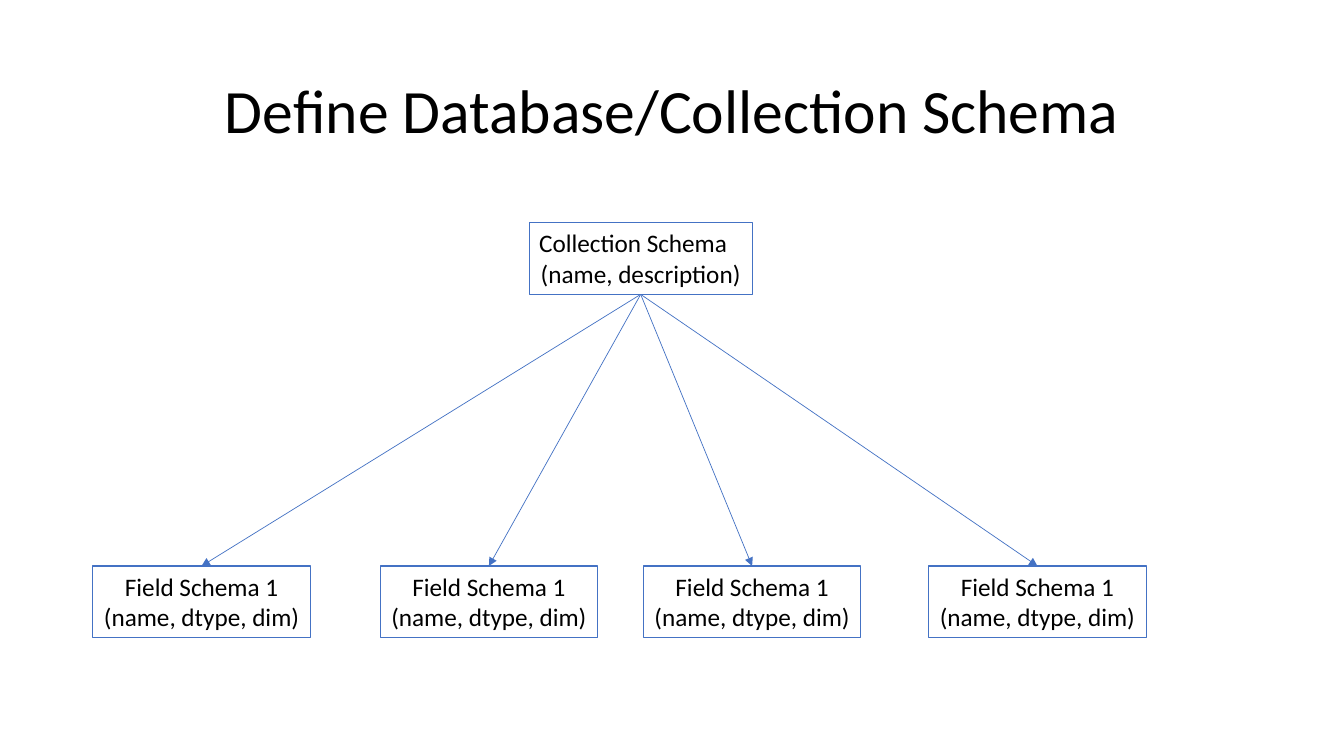
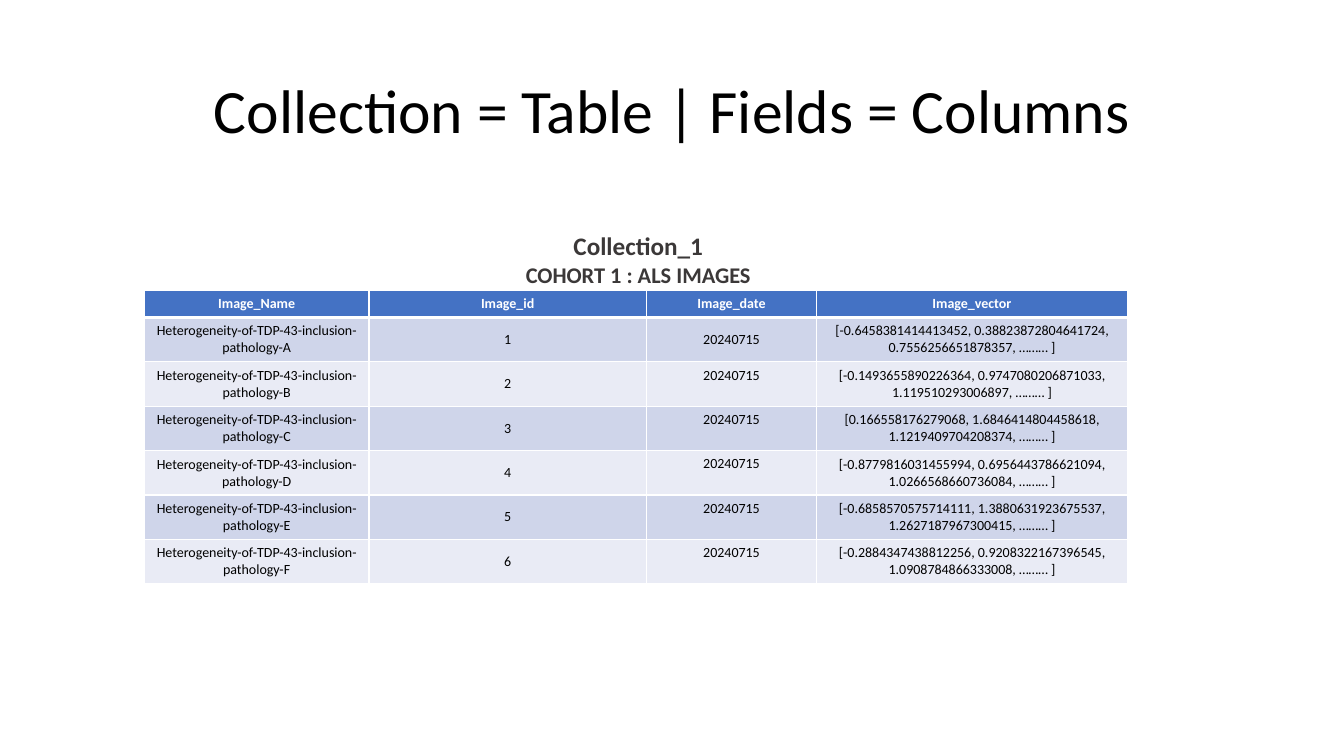
from lxml import etree
from pptx import Presentation
from pptx.dml.color import RGBColor
from pptx.enum.shapes import MSO_CONNECTOR, MSO_SHAPE
from pptx.enum.text import MSO_ANCHOR, PP_ALIGN
from pptx.oxml.ns import qn
from pptx.util import Inches, Pt

RECTANGLE, STRAIGHT = MSO_SHAPE.RECTANGLE, MSO_CONNECTOR.STRAIGHT
LEFT, CENTER = PP_ALIGN.LEFT, PP_ALIGN.CENTER
TOP, MIDDLE = MSO_ANCHOR.TOP, MSO_ANCHOR.MIDDLE
BOTTOM_SITE, TOP_SITE = 2, 0

# Shared look
BLACK = RGBColor(0x00, 0x00, 0x00)
WHITE = RGBColor(0xFF, 0xFF, 0xFF)
BLUE = RGBColor(0x44, 0x72, 0xC4)
CHARCOAL = RGBColor(0x3B, 0x38, 0x38)
BANDS = (RGBColor(0xCF, 0xD5, 0xEA), RGBColor(0xE9, 0xEB, 0xF5))
TITLE = {"size": Pt(44), "bold": False, "color": BLACK}
LABEL = {"size": Pt(18), "bold": False, "color": BLACK}
CAPTION = {"size": Pt(18), "bold": True, "color": CHARCOAL}
SUBCAPTION = {**CAPTION, "size": Pt(16)}
HEADER = {"size": Pt(10), "bold": True, "color": WHITE}
BODY = {"size": Pt(10), "bold": False, "color": BLACK}

# Lengths are percentages of the slide's width and height
SLIDE_WIDTH, SLIDE_HEIGHT = Inches(13.33), Inches(7.5)
TITLE_AREA = (6.9, 5.33, 86.25, 19.33)
COLLECTION_AREA = (39.38, 29.47, 16.58, 9.47)
FIELD_LEFTS = (6.9, 28.28, 47.86, 69.09)
FIELD_TOP, FIELD_WIDTH, FIELD_HEIGHT = 74.87, 16.2, 9.47
CAPTION_AREA = (31.51, 29.87, 31.96, 9.47)
TABLE_LEFT, TABLE_TOP = 10.73, 38.4
COLUMN_WIDTHS = (16.73, 20.63, 12.68, 23.1)
HEADER_HEIGHT, ROW_HEIGHT = 3.6, 5.87

# Table content
COLUMNS = ("Image_Name", "Image_id", "Image_date", "Image_vector")
IMAGE_DATE = "20240715"
VECTORS = {
    "A": "-0.6458381414413452, 0.38823872804641724, 0.7556256651878357",
    "B": "-0.1493655890226364, 0.9747080206871033, 1.119510293006897",
    "C": "0.166558176279068, 1.6846414804458618, 1.1219409704208374",
    "D": "-0.8779816031455994, 0.6956443786621094, 1.0266568660736084",
    "E": "-0.6858570575714111, 1.3880631923675537, 1.2627187967300415",
    "F": "-0.2884347438812256, 0.9208322167396545, 1.0908784866333008",
}


def across(share):
    return round(SLIDE_WIDTH * share / 100)


def down(share):
    return round(SLIDE_HEIGHT * share / 100)


def place(left, top, width, height):
    return across(left), down(top), across(width), down(height)


def write(frame, lines):
    """Fill a text frame with (text, style, alignment) lines."""
    for index, (text, style, alignment) in enumerate(lines):
        paragraph = frame.add_paragraph() if index else frame.paragraphs[0]
        paragraph.alignment = alignment
        run = paragraph.add_run()
        run.text = text
        run.font.name = "Calibri"
        for name, value in style.items():
            if name == "color":
                run.font.color.rgb = value
            else:
                setattr(run.font, name, value)


def add_text(slide, area, lines, anchor=TOP):
    frame = slide.shapes.add_textbox(*place(*area)).text_frame
    frame.word_wrap = True
    frame.vertical_anchor = anchor
    write(frame, lines)
    return frame


def add_titled_slide(presentation, title):
    slide = presentation.slides.add_slide(presentation.slide_layouts[6])
    frame = add_text(slide, TITLE_AREA, [(title, TITLE, CENTER)], MIDDLE)
    frame.paragraphs[0].line_spacing = 0.9
    return slide


def add_schema_box(slide, area, name, members, name_alignment=CENTER):
    shape = slide.shapes.add_shape(RECTANGLE, *place(*area))
    shape.shadow.inherit = False
    shape.fill.background()
    shape.line.color.rgb = BLUE
    shape.line.width = Pt(0.75)
    shape.text_frame.word_wrap = False
    shape.text_frame.vertical_anchor = TOP
    write(shape.text_frame, [(name, LABEL, name_alignment), (members, LABEL, CENTER)])
    return shape


def add_arrow(slide, parent, child):
    arrow = slide.shapes.add_connector(STRAIGHT, 0, 0, 0, 0)
    arrow.begin_connect(parent, BOTTOM_SITE)
    arrow.end_connect(child, TOP_SITE)
    arrow.line.color.rgb = BLUE
    arrow.line.width = Pt(0.5)
    etree.SubElement(arrow.line._get_or_add_ln(), qn("a:tailEnd"), type="triangle")
    etree.SubElement(arrow._element.spPr, qn("a:effectLst"))


def set_borders(cell, widths):
    properties = cell._tc.get_or_add_tcPr()
    for side, width in widths.items():
        line = etree.SubElement(properties, qn(f"a:ln{side}"), w=str(Pt(width)))
        fill = etree.SubElement(line, qn("a:solidFill"))
        etree.SubElement(fill, qn("a:srgbClr"), val=str(WHITE))


def add_image_table(slide):
    rows = [COLUMNS] + [
        (f"Heterogeneity-of-TDP-43-inclusion-pathology-{letter}", str(number),
         IMAGE_DATE, f"[{vector}, ……… ]")
        for number, (letter, vector) in enumerate(VECTORS.items(), 1)
    ]
    heights = [HEADER_HEIGHT] + [ROW_HEIGHT] * len(VECTORS)
    area = place(TABLE_LEFT, TABLE_TOP, sum(COLUMN_WIDTHS), sum(heights))
    table = slide.shapes.add_table(len(rows), len(COLUMNS), *area).table
    for column, width in zip(table.columns, COLUMN_WIDTHS):
        column.width = across(width)
    for row, (values, height) in enumerate(zip(rows, heights)):
        table.rows[row].height = down(height)
        for column, value in enumerate(values):
            cell = table.cell(row, column)
            # Dates below the first data row sit at the top of their cells
            raised = row > 1 and COLUMNS[column] == "Image_date"
            cell.vertical_anchor = TOP if raised else MIDDLE
            set_borders(cell, {"L": 1, "R": 1, "T": 3 if row == 1 else 1,
                               "B": 1 if row else 3})
            cell.fill.solid()
            cell.fill.fore_color.rgb = BANDS[(row - 1) % 2] if row else BLUE
            write(cell.text_frame, [(value, BODY if row else HEADER, CENTER)])


def build_schema_slide(presentation):
    slide = add_titled_slide(presentation, "Define Database/Collection Schema")
    collection = add_schema_box(slide, COLLECTION_AREA, "Collection Schema",
                                "(name, description)", LEFT)
    for left in FIELD_LEFTS:
        area = (left, FIELD_TOP, FIELD_WIDTH, FIELD_HEIGHT)
        field = add_schema_box(slide, area, "Field Schema 1", "(name, dtype, dim)")
        add_arrow(slide, collection, field)


def build_table_slide(presentation):
    slide = add_titled_slide(presentation, "Collection = Table | Fields = Columns")
    add_image_table(slide)
    add_text(slide, CAPTION_AREA, [("Collection_1", CAPTION, CENTER),
                                   ("COHORT 1 : ALS IMAGES", SUBCAPTION, CENTER)])


def main():
    presentation = Presentation()
    presentation.slide_width = SLIDE_WIDTH
    presentation.slide_height = SLIDE_HEIGHT
    build_schema_slide(presentation)
    build_table_slide(presentation)
    presentation.save("out.pptx")


if __name__ == "__main__":
    main()
